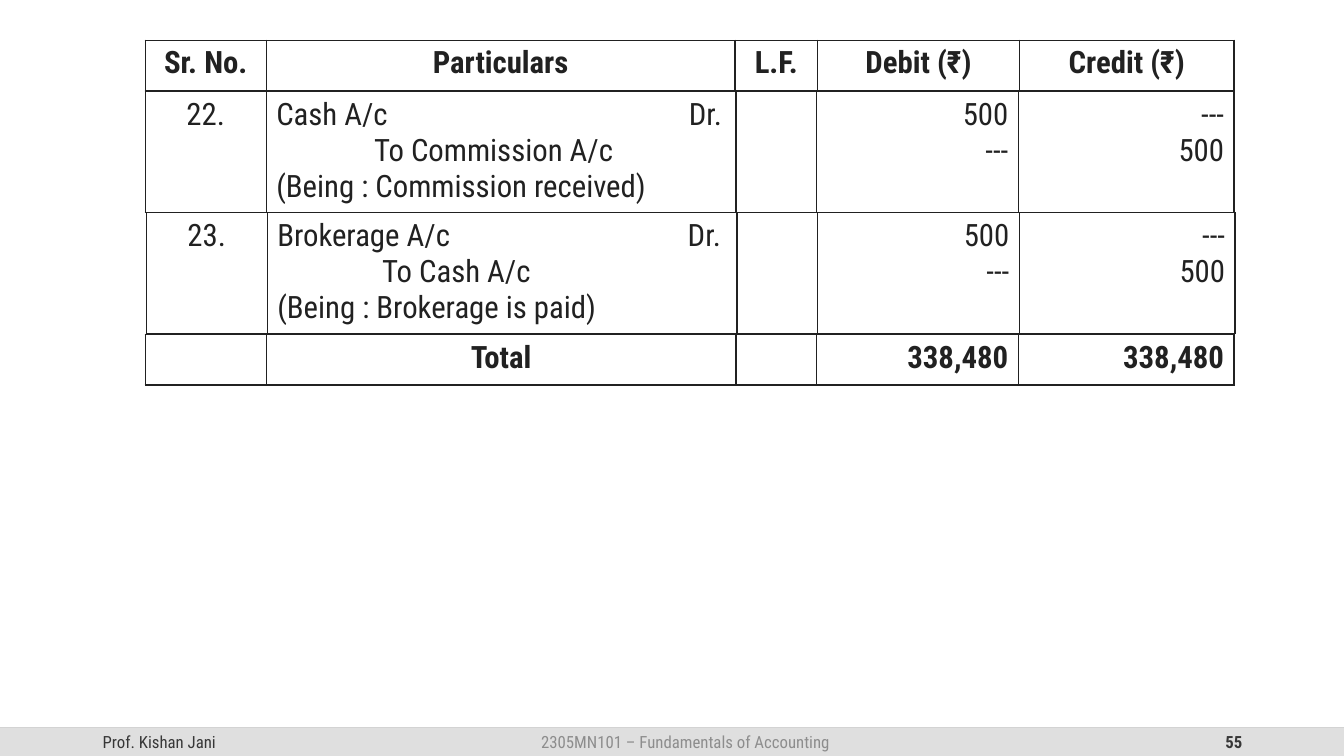
from lxml import etree
from pptx import Presentation
from pptx.dml.color import RGBColor
from pptx.enum.shapes import MSO_CONNECTOR, MSO_SHAPE
from pptx.enum.text import MSO_ANCHOR, PP_ALIGN
from pptx.oxml.ns import qn
from pptx.util import Inches, Pt

FONT = "Roboto Condensed"
INK = RGBColor(0x21, 0x21, 0x21)
FOOTER_INK = RGBColor(0x37, 0x37, 0x37)
FOOTER_GREY = RGBColor(0x8D, 0x8D, 0x8D)
BAR = RGBColor(0xDF, 0xDF, 0xDF)
RULE = RGBColor(0xBF, 0xBF, 0xBF)
LEFT, CENTER, RIGHT = PP_ALIGN.LEFT, PP_ALIGN.CENTER, PP_ALIGN.RIGHT

HEADER_COLUMNS = [1.2, 4.65, 0.82, 2, 2.13]
ENTRY_COLUMNS = [1.2, 4.66, 0.8, 2, 2.14]
ENTRY_ALIGNS = [CENTER, LEFT, CENTER, RIGHT, RIGHT]
TOTAL_ALIGNS = [CENTER, CENTER, CENTER, RIGHT, RIGHT]

JOURNAL = [
    dict(left=1.44, top=0.4, height=0.5, columns=HEADER_COLUMNS, aligns=[CENTER] * 5, bold=True,
         cells=["Sr. No.", "Particulars", "L.F.", "Debit (₹)", "Credit (₹)"]),
    dict(left=1.44, top=0.91, height=1.17, columns=ENTRY_COLUMNS, aligns=ENTRY_ALIGNS, bold=False,
         indent=0.97, tab=4.42,
         cells=["22.", "Cash A/c\tDr.\nTo Commission A/c\n(Being : Commission received)", "",
                "500\n---", "---\n500"]),
    dict(left=1.45, top=2.11, height=1.17, columns=ENTRY_COLUMNS, aligns=ENTRY_ALIGNS, bold=False,
         indent=1.04, tab=4.4,
         cells=["23.", "Brokerage A/c\tDr.\nTo Cash A/c\n(Being : Brokerage is paid)", "",
                "500\n---", "---\n500"]),
    dict(left=1.44, top=3.32, height=0.5, columns=ENTRY_COLUMNS, aligns=TOTAL_ALIGNS, bold=True,
         cells=["", "Total", "", "338,480", "338,480"]),
]

FOOTER_TOP, FOOTER_HEIGHT = 7.22, 0.28
FOOTER = [
    ("Prof. Kishan Jani", 0.92, 3, LEFT, FOOTER_INK, False),
    ("55", 9.42, 3, RIGHT, FOOTER_INK, True),
    ("2305MN101 – Fundamentals of Accounting", 4.18, 5.24, CENTER, FOOTER_GREY, False),
]


def style_paragraph(para, size, color, bold, align):
    para.alignment = align
    for span in para.runs:
        span.font.name = FONT
        span.font.size = Pt(size)
        span.font.bold = bold
        span.font.color.rgb = color


def add_borders(cell):
    cell.fill.background()
    properties = cell._tc.get_or_add_tcPr()
    for position, side in enumerate(("lnL", "lnR", "lnT", "lnB")):
        line = etree.Element(qn(f"a:{side}"), w=str(Pt(1)))
        fill = etree.SubElement(line, qn("a:solidFill"))
        etree.SubElement(fill, qn("a:srgbClr"), val=str(INK))
        properties.insert(position, line)


def indent_entry(paragraphs, indent, tab):
    debit, credit = paragraphs[:2]
    tabs = etree.SubElement(debit._p.get_or_add_pPr(), qn("a:tabLst"))
    etree.SubElement(tabs, qn("a:tab"), pos=str(Inches(tab)), algn="r")
    credit._p.get_or_add_pPr().set("marL", str(Inches(indent)))


def add_journal_table(page, part):
    columns = part["columns"]
    frame = page.shapes.add_table(1, len(columns), Inches(part["left"]), Inches(part["top"]),
                                  Inches(sum(columns)), Inches(part["height"]))
    table = frame.table
    table.first_row = False
    table.horz_banding = False
    for index, (width, text, align) in enumerate(zip(columns, part["cells"], part["aligns"])):
        table.columns[index].width = Inches(width)
        cell = table.cell(0, index)
        cell.text_frame.text = text
        paragraphs = cell.text_frame.paragraphs
        if "\t" in text:
            indent_entry(paragraphs, part["indent"], part["tab"])
        for para in paragraphs:
            style_paragraph(para, 22, INK, part["bold"], align)
        add_borders(cell)


def add_footer(page, width):
    top, height = Inches(FOOTER_TOP), Inches(FOOTER_HEIGHT)
    rule = page.shapes.add_connector(MSO_CONNECTOR.STRAIGHT, 0, top, width, top)
    rule.line.color.rgb = RULE
    rule.line.width = Pt(1)
    etree.SubElement(rule._element.spPr, qn("a:effectLst"))
    color = rule._element.spPr.find(".//" + qn("a:srgbClr"))
    etree.SubElement(color, qn("a:alpha"), val="70000")
    bar = page.shapes.add_shape(MSO_SHAPE.RECTANGLE, 0, top, width, height)
    bar.shadow.inherit = False
    bar.fill.solid()
    bar.fill.fore_color.rgb = BAR
    bar.line.fill.background()
    for text, left, box_width, align, ink, bold in FOOTER:
        box = page.shapes.add_textbox(Inches(left), top, Inches(box_width), height)
        box.text_frame.word_wrap = True
        box.text_frame.vertical_anchor = MSO_ANCHOR.MIDDLE
        box.text_frame.text = text
        style_paragraph(box.text_frame.paragraphs[0], 12, ink, bold, align)


def main():
    deck = Presentation()
    deck.slide_width = Inches(13.33)
    deck.slide_height = Inches(7.5)
    page = deck.slides.add_slide(deck.slide_layouts[6])
    add_footer(page, deck.slide_width)
    for part in JOURNAL:
        add_journal_table(page, part)
    deck.save("out.pptx")


if __name__ == "__main__":
    main()
